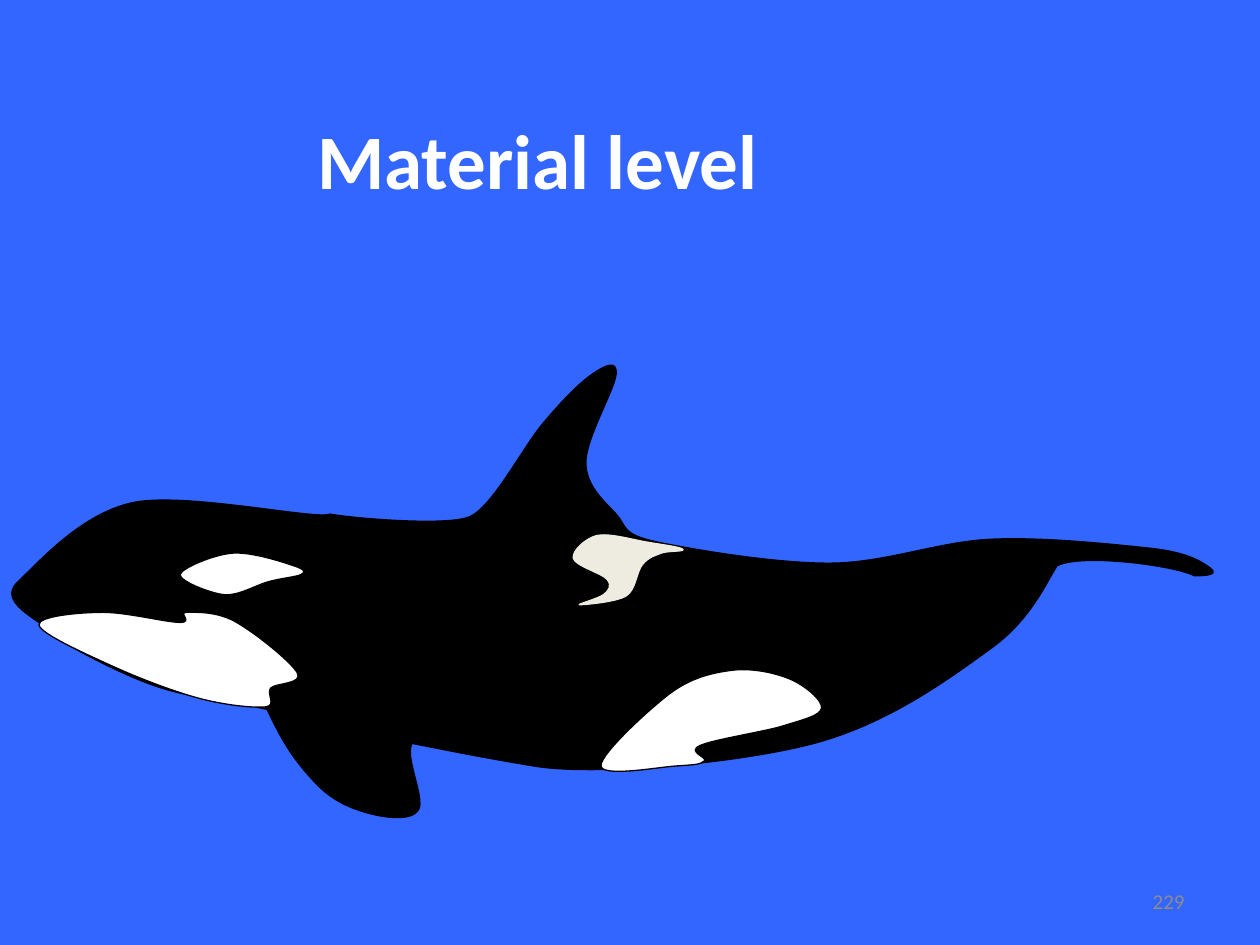
from dataclasses import dataclass
from typing import NamedTuple, Optional

from lxml import etree
from pptx import Presentation
from pptx.dml.color import RGBColor
from pptx.enum.text import MSO_ANCHOR, MSO_AUTO_SIZE, PP_ALIGN
from pptx.oxml.ns import qn
from pptx.util import Inches, Pt

LEFT, RIGHT = PP_ALIGN.LEFT, PP_ALIGN.RIGHT
TOP, MIDDLE = MSO_ANCHOR.TOP, MSO_ANCHOR.MIDDLE
FIT_SHAPE = MSO_AUTO_SIZE.SHAPE_TO_FIT_TEXT

CREAM = RGBColor(0xFF, 0xFF, 0xCC)
SEA_BLUE = RGBColor(0x33, 0x66, 0xFF)
BLACK = RGBColor(0, 0, 0)
WHITE = RGBColor(0xFF, 0xFF, 0xFF)
IVORY = RGBColor(0xEE, 0xEC, 0xE1)
GREY = RGBColor(0x8C, 0x8C, 0x8C)

# The slide is a grid of 1000 columns by 750 rows.
COLUMNS, ROWS = 1000, 750
CELL = Inches(0.01)
SAMPLES = 24  # points measured along each curve to find its extent


class Point(NamedTuple):
    x: float
    y: float


class Knot(NamedTuple):
    """A point the outline passes; arrive and leave replace its smooth tangent."""
    x: int
    y: int
    arrive: Optional[Point] = None
    leave: Optional[Point] = None


class Curve(NamedTuple):
    start: Point
    control_out: Point
    control_in: Point
    end: Point


@dataclass(frozen=True)
class Outline:
    knots: tuple[Knot, ...]
    fill: RGBColor
    line: RGBColor = BLACK


@dataclass(frozen=True)
class Label:
    text: str
    box: tuple[int, int, int, int]
    size: int
    color: RGBColor
    bold: Optional[bool] = None
    align: PP_ALIGN = LEFT
    anchor: MSO_ANCHOR = TOP
    wrap: bool = True


def sharp(x: int, y: int, arrive: tuple, leave: Optional[tuple] = None) -> Knot:
    """A knot with its own tangent, or two of them where the outline turns."""
    return Knot(x, y, Point(*arrive), Point(*(leave or arrive)))


def smooth(*places: tuple[int, int]) -> tuple[Knot, ...]:
    return tuple(Knot(*place) for place in places)


# The body, clockwise from the throat.
HEAD = (Knot(122, 544), sharp(38, 500, (-6, -8)), sharp(14, 462, (17, -16)),
        Knot(105, 399), sharp(262, 408, (10, -5), (15, 3)))
DORSAL_FIN = (sharp(373, 410, (18, -8)),
              *smooth((431, 336), (470, 297), (489, 297), (465, 367), (489, 408)))
BACK = smooth((521, 430), (658, 447), (786, 428))
TAIL = (*smooth((912, 435), (958, 449)), sharp(948, 457, (-20, 0), (-15, -8)),
        sharp(839, 449, (-20, 10), (-9, 14)))
BELLY = (*smooth((786, 515), (646, 590)), sharp(424, 608, (-48, -8)))
FLIPPER = (sharp(327, 590, (-26, -5), (-6, 11)),
           *smooth((332, 643), (291, 645), (250, 621)),
           sharp(212, 563, (-15, -32), (-51, -11)))

EYE_PATCH = smooth((143, 456), (185, 439), (233, 449), (239, 456),
                   (212, 462), (178, 472))
CHIN_PATCH = smooth((31, 496), (82, 486), (143, 494), (148, 486), (186, 493),
                    (236, 534), (215, 546), (211, 561), (161, 555), (90, 529))
BELLY_PATCH = smooth((531, 551), (581, 532), (627, 539), (652, 562),
                     (622, 576), (555, 592), (559, 604), (536, 608), (477, 608))
SADDLE_PATCH = smooth((455, 443), (474, 425), (512, 430), (542, 436), (525, 439),
                      (510, 448), (497, 473), (460, 480), (479, 472), (482, 460))
WATER_EDGE = smooth((-140, 204), (6, -42), (290, -19), (596, -22), (901, -36),
                    (1174, -43), (1211, 656), (969, 800), (-177, 759))

SEA = Outline(WATER_EDGE, SEA_BLUE)
ORCA = (
    Outline(HEAD + DORSAL_FIN + BACK + TAIL + BELLY + FLIPPER, BLACK),
    Outline(EYE_PATCH, WHITE),
    Outline(CHIN_PATCH, WHITE),
    Outline(BELLY_PATCH, WHITE),
    Outline(SADDLE_PATCH, IVORY, IVORY),
)
LABELS = (
    Label("Material level", (242, 84, 373, 84), 44, WHITE, bold=True, wrap=False),
    Label("229", (717, 695, 233, 40), 12, GREY, align=RIGHT, anchor=MIDDLE),
)


def closed_spline(knots: tuple[Knot, ...]) -> list[Curve]:
    """Join knots by the Catmull-Rom rule: tangent = (next - previous) / 6."""
    before, after = knots[-1:] + knots[:-1], knots[1:] + knots[:1]
    tangents = [Point((b.x - a.x) / 6, (b.y - a.y) / 6)
                for a, b in zip(before, after)]
    curves = []
    for i, (knot, following) in enumerate(zip(knots, after)):
        leave = knot.leave or tangents[i]
        arrive = following.arrive or tangents[(i + 1) % len(knots)]
        curves.append(Curve(
            Point(knot.x, knot.y),
            Point(knot.x + leave.x, knot.y + leave.y),
            Point(following.x - arrive.x, following.y - arrive.y),
            Point(following.x, following.y),
        ))
    return curves


def point_on(curve: Curve, t: float) -> Point:
    """The point at share t of a cubic Bezier curve."""
    u = 1 - t
    weights = (u ** 3, 3 * u * u * t, 3 * u * t * t, t ** 3)
    return Point(sum(w * p.x for w, p in zip(weights, curve)),
                 sum(w * p.y for w, p in zip(weights, curve)))


def draw_outline(shapes, outline: Outline) -> None:
    """Make a freeform of the outline's extent, then bend its edges into curves."""
    curves = closed_spline(outline.knots)
    traced = [point_on(curve, i / SAMPLES) for curve in curves for i in range(SAMPLES)]
    xs, ys = zip(*traced)
    left, right, top, bottom = map(round, (min(xs), max(xs), min(ys), max(ys)))

    builder = shapes.build_freeform(left, top, scale=CELL)
    builder.add_line_segments([(right, top), (right, bottom), (left, bottom)])
    shape = builder.convert_to_shape()
    shape.shadow.inherit = False
    shape.fill.solid()
    shape.fill.fore_color.rgb = outline.fill
    shape.line.color.rgb = outline.line
    shape.line.width = Pt(0.75)

    contour = shape.element.xpath(".//a:path")[0]
    for edge in list(contour):
        contour.remove(edge)
    steps = [("a:moveTo", curves[0][:1])]
    steps += [("a:cubicBezTo", curve[1:]) for curve in curves]
    for tag, points in steps:
        step = etree.SubElement(contour, qn(tag))
        for x, y in points:
            etree.SubElement(step, qn("a:pt"),
                             x=str(round(x - left)), y=str(round(y - top)))
    etree.SubElement(contour, qn("a:close"))


def draw_label(shapes, label: Label) -> None:
    frame = shapes.add_textbox(*(CELL * cells for cells in label.box)).text_frame
    frame.word_wrap = label.wrap
    if not label.wrap:
        frame.auto_size = FIT_SHAPE
    frame.vertical_anchor = label.anchor
    frame.text = label.text
    paragraph = frame.paragraphs[0]
    paragraph.alignment = label.align
    font = paragraph.runs[0].font
    font.name, font.size, font.bold = "Calibri", Pt(label.size), label.bold
    font.color.rgb = label.color


def main() -> None:
    deck = Presentation()
    deck.slide_width, deck.slide_height = CELL * COLUMNS, CELL * ROWS
    slide = deck.slides.add_slide(deck.slide_layouts[6])
    slide.background.fill.solid()
    slide.background.fill.fore_color.rgb = CREAM
    draw_outline(slide.shapes, SEA)
    orca = slide.shapes.add_group_shape()
    for part in ORCA:
        draw_outline(orca.shapes, part)
    for label in LABELS:
        draw_label(slide.shapes, label)
    deck.save("out.pptx")


if __name__ == "__main__":
    main()
